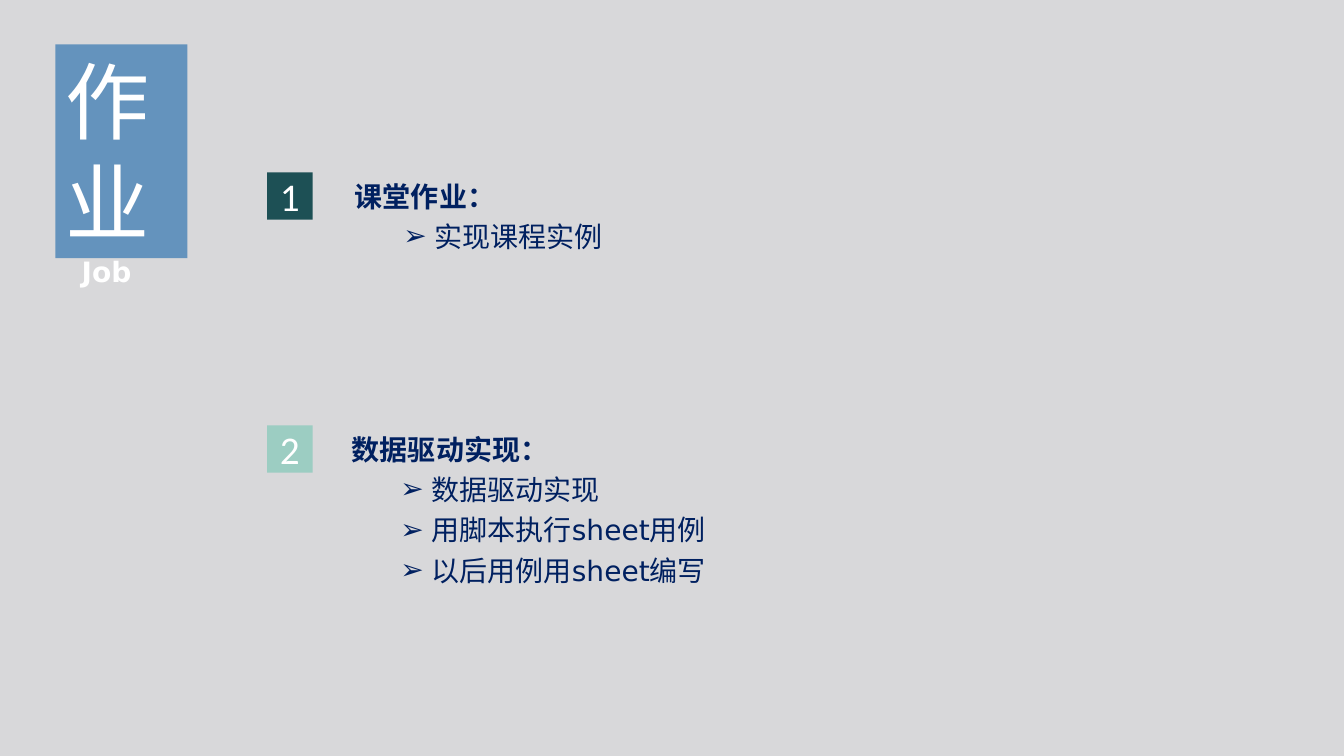
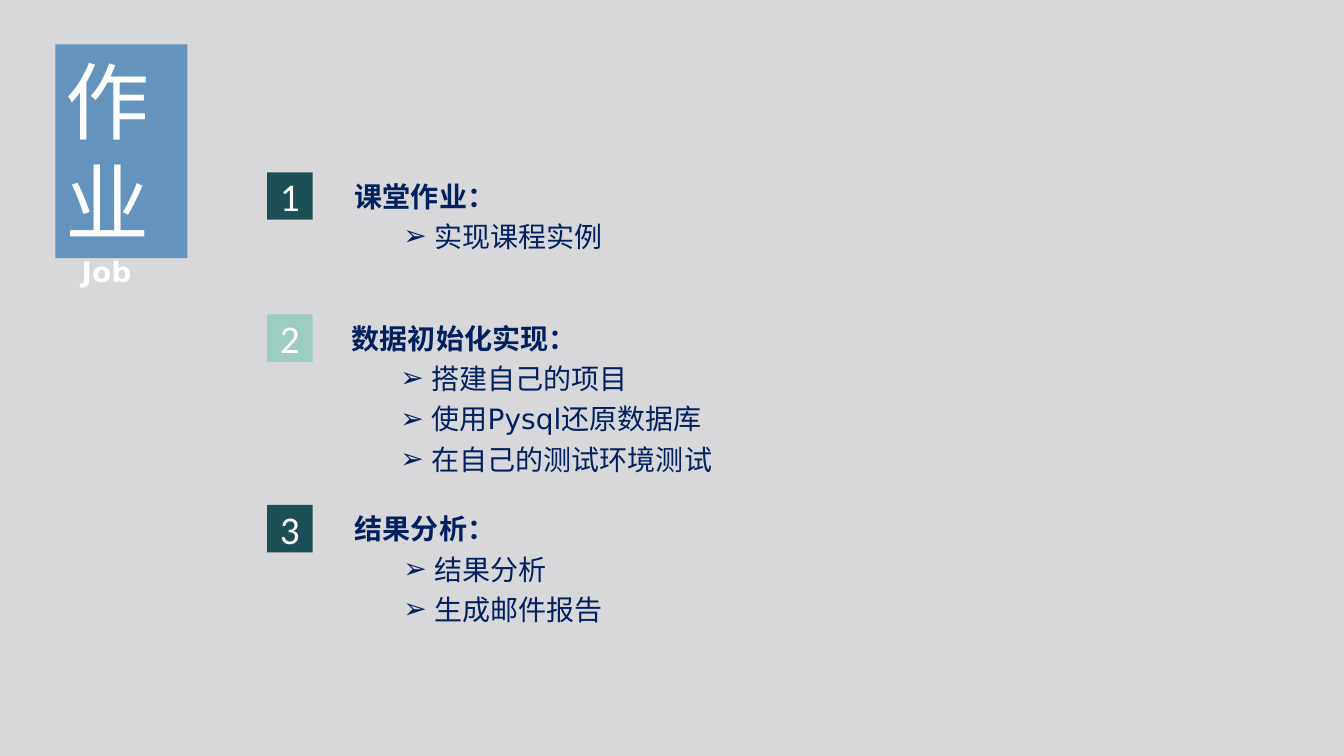
from lxml import etree
from pptx import Presentation
from pptx import util as u
from pptx.dml.color import RGBColor
from pptx.enum import shapes, text
from pptx.oxml import ns

NAVY, WHITE, GREY, BLUE = "002060", "FFFFFF", "D8D8DA", "3477B2"
BADGES = ["1D5055", "9CCDC2"]
BODY_FONT, TITLE_FONT, NUMBER_FONT = "DejaVu Sans", "Noto Sans CJK SC", "Calibri"
COMPARISON = 4  # layout with a title and four bodies

SLIDES = [
    [
        (1.71, 1.33, "课堂作业：", ["实现课程实例"]),
        (4.22, 1.81, "数据驱动实现：",
         ["数据驱动实现", "用脚本执行sheet用例", "以后用例用sheet编写"]),
    ],
    [
        (1.71, 1.33, "课堂作业：", ["实现课程实例"]),
        (3.12, 1.65, "数据初始化实现：",
         ["搭建自己的项目", "使用Pysql还原数据库", "在自己的测试环境测试"]),
        (5.01, 1.33, "结果分析：", ["结果分析", "生成邮件报告"]),
    ],
]


def paint(fmt, color):
    """Give a fill a solid colour from a hex string."""
    fmt.solid()
    fmt.fore_color.rgb = RGBColor.from_string(color)


def assign(obj, **values):
    """Set attributes of an object from format values."""
    for name, value in values.items():
        setattr(obj, name, value)


def place(sp, x, y, w, h):
    """Move a shape to a box given in inches."""
    for name, value in zip(("left", "top", "width", "height"), (x, y, w, h)):
        setattr(sp, name, u.Inches(value))


def set_frame(tf, inset=None, anchor=text.MSO_ANCHOR.TOP):
    """Make a text frame wrap at a fixed size, with an optional equal inset."""
    assign(tf, word_wrap=True, auto_size=text.MSO_AUTO_SIZE.NONE,
           vertical_anchor=anchor)
    if inset is not None:
        for side in ("left", "top", "right", "bottom"):
            setattr(tf, f"margin_{side}", u.Inches(inset))


def write(p, words, size, font, color, bold=False, align=text.PP_ALIGN.LEFT):
    """Write one formatted run into a paragraph."""
    p.alignment = align
    r = p.add_run()
    r.text = words
    assign(r.font, size=u.Pt(size), name=font, bold=bold)
    paint(r.font.fill, color)


def set_bullet(p, char=None, left=0, hang=0):
    """Set the indent of a paragraph and its bullet, or none."""
    pPr = p._p.get_or_add_pPr()
    pPr.set("marL", str(u.Inches(left)))
    pPr.set("indent", str(-u.Inches(hang)))
    if char:
        etree.SubElement(pPr, ns.qn("a:buFont")).set("typeface", BODY_FONT)
        etree.SubElement(pPr, ns.qn("a:buChar")).set("char", char)
    else:
        etree.SubElement(pPr, ns.qn("a:buNone"))


def add_heading(s, x, y):
    """Fill the title block and set its English caption below it."""
    title = s.shapes.title
    place(title, x, y, 1.31, 2.12)
    paint(title.fill, BLUE)
    color = title._element.spPr.find(".//" + ns.qn("a:srgbClr"))
    etree.SubElement(color, ns.qn("a:alpha")).set("val", "70000")
    set_frame(title.text_frame)
    write(title.text_frame.paragraphs[0], "作业", 60, TITLE_FONT, WHITE)

    caption = s.shapes.add_textbox(0, 0, 0, 0)
    place(caption, x - 0.1, y + 2.04, 1.82, 0.44)
    tf = caption.text_frame
    set_frame(tf)
    tf.margin_left = u.Inches(0.36)
    write(tf.paragraphs[0], "Job", 20, BODY_FONT, WHITE, bold=True)


def add_badge(s, number, x, y):
    """Draw a numbered square, its colour alternating by number."""
    sp = s.shapes.add_shape(shapes.MSO_SHAPE.RECTANGLE, 0, 0, 0, 0)
    place(sp, x, y, 0.45, 0.47)
    sp.shadow.inherit = False
    paint(sp.fill, BADGES[(number - 1) % 2])
    sp.line.fill.background()
    set_frame(sp.text_frame, anchor=text.MSO_ANCHOR.MIDDLE)
    write(sp.text_frame.paragraphs[0], str(number), 28, NUMBER_FONT, WHITE,
          align=text.PP_ALIGN.CENTER)


def add_task(s, body, number, x, y, h, head, items):
    """Place a badge and, beside it, a heading with its bulleted items."""
    add_badge(s, number, x, y)
    even = number % 2 == 0
    place(body, x + (0.84 if even else 0.87), y, 7.59 if even else 6.59, h)
    tf = body.text_frame
    set_frame(tf, inset=0)
    for i, words in enumerate([head] + items):
        p = tf.add_paragraph() if i else tf.paragraphs[0]
        assign(p, line_spacing=1.2, space_before=u.Pt(0), space_after=u.Pt(0))
        write(p, words, 20, BODY_FONT, NAVY, bold=i == 0)
        if i:
            set_bullet(p, "➢", 0.79, 0.31)
        else:
            set_bullet(p)


def add_homework(prs, tasks):
    """Build one homework slide from its list of tasks."""
    s = prs.slides.add_slide(prs.slide_layouts[COMPARISON])
    bodies = list(s.placeholders)[1:]
    add_heading(s, 0.55, 0.44)
    for number, (body, task) in enumerate(zip(bodies, tasks), 1):
        y, h, head, items = task
        add_task(s, body, number, 2.65, y, h, head, items)
    for body in bodies[len(tasks):]:
        body._element.getparent().remove(body._element)


def main():
    """Build and save the presentation."""
    prs = Presentation()
    assign(prs, slide_width=u.Inches(13.33), slide_height=u.Inches(7.5))
    paint(prs.slide_master.background.fill, GREY)
    for tasks in SLIDES:
        add_homework(prs, tasks)
    prs.save("out.pptx")


main()
